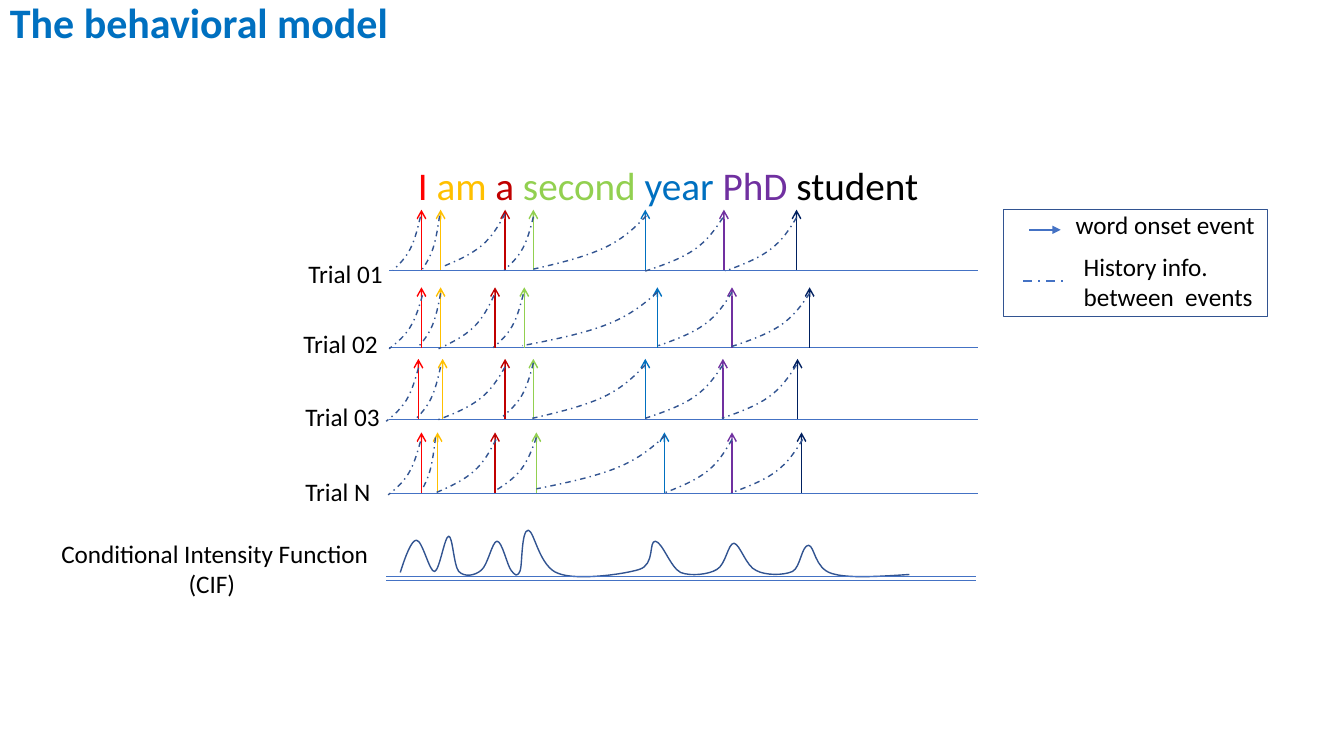
from lxml.etree import SubElement
from pptx import Presentation
from pptx.dml.color import RGBColor
from pptx.enum.dml import MSO_LINE
from pptx.enum.shapes import MSO_CONNECTOR, MSO_SHAPE
from pptx.enum.text import MSO_AUTO_SIZE, PP_ALIGN
from pptx.oxml.ns import qn
from pptx.util import Inches, Pt

COLORS = {
    "red": "FF0000", "amber": "FFC000", "crimson": "C00000", "green": "92D050",
    "blue": "0070C0", "purple": "7030A0", "navy": "002060", "black": "000000",
    "axis": "4472C4", "curve": "325491",
}
FONT = "Calibri"
EVENT_COLORS = ["red", "amber", "crimson", "green", "blue", "purple", "navy"]
SENTENCE = [("I ", "red"), ("am ", "amber"), ("a ", "crimson"), ("second ", "green"),
            ("year ", "blue"), ("PhD", "purple"), (" student ", "black")]

AXIS_LEFT, AXIS_WIDTH = 3.86, 5.84
EVENT_HEIGHT, HISTORY_HEIGHT = 0.6, 0.53

# Per trial: label, label position, top, event offsets,
# and history curves as (start, end, drop below the top)
TRIALS = [
    ("Trial 01", (2.96, 2.51), 2.08, [0.32, 0.51, 1.15, 1.43, 2.54, 3.32, 4.04],
     [(0.04, 0.31, 0.07), (0.33, 0.5, 0.06), (0.52, 1.15, 0.04), (1.14, 1.43, 0.07),
      (1.43, 2.55, 0.06), (2.54, 3.31, 0.08), (3.33, 4.04, 0.08)]),
    ("Trial 02", (2.91, 3.21), 2.85, [0.32, 0.51, 1.05, 1.34, 2.66, 3.4, 4.17],
     [(0, 0.33, 0.08), (0.29, 0.51, 0.06), (0.49, 1.04, 0.08), (1.03, 1.33, 0.07),
      (1.32, 2.66, 0.05), (2.67, 3.4, 0.05), (3.39, 4.17, 0.06)]),
    ("Trial 03", (2.93, 3.93), 3.56, [0.29, 0.53, 1.15, 1.43, 2.54, 3.31, 4.05],
     [(-0.03, 0.29, 0.09), (0.25, 0.51, 0.08), (0.47, 1.15, 0.08), (1.13, 1.43, 0.04),
      (1.42, 2.54, 0.06), (2.54, 3.31, 0.06), (3.3, 4.04, 0.06)]),
    ("Trial N", (2.93, 4.68), 4.29, [0.32, 0.48, 1.05, 1.46, 2.73, 3.4, 4.09],
     [(-0.01, 0.31, 0.09), (0.32, 0.46, 0.05), (0.46, 1.06, 0.07), (1.05, 1.46, 0.05),
      (1.46, 2.74, 0.03), (2.73, 3.4, 0.07), (3.39, 4.1, 0.07)]),
]

# Fractions of a history curve's width (leftwards) and height (downwards)
HISTORY_SHAPE = [(0, 0), (0.1, 0.22), (0.2, 0.43), (0.37, 0.6),
                 (0.54, 0.77), (0.77, 0.89), (1, 1)]

# Intensity curve: start, then two control points and an end per segment,
# measured from the left end and the top of its region
INTENSITY = [
    (0.14, 0.42), (0.19, 0.26), (0.25, 0.1), (0.3, 0.1), (0.36, 0.1), (0.43, 0.42),
    (0.48, 0.41), (0.53, 0.4), (0.58, 0.06), (0.62, 0.06), (0.66, 0.06), (0.67, 0.35),
    (0.72, 0.41), (0.78, 0.47), (0.88, 0.45), (0.94, 0.4), (1.01, 0.35), (1.05, 0.11),
    (1.1, 0.11), (1.15, 0.11), (1.2, 0.35), (1.24, 0.4), (1.28, 0.45), (1.3, 0.47),
    (1.33, 0.4), (1.35, 0.34), (1.34, 0), (1.41, 0), (1.47, 0.01), (1.52, 0.37),
    (1.71, 0.43), (1.89, 0.5), (2.35, 0.44), (2.51, 0.39), (2.67, 0.34), (2.6, 0.11),
    (2.67, 0.11), (2.74, 0.12), (2.82, 0.37), (2.92, 0.42), (3.02, 0.46), (3.2, 0.44),
    (3.28, 0.39), (3.37, 0.34), (3.39, 0.13), (3.45, 0.13), (3.51, 0.14), (3.57, 0.36),
    (3.67, 0.4), (3.76, 0.45), (3.94, 0.45), (4.03, 0.41), (4.11, 0.37), (4.12, 0.15),
    (4.19, 0.15), (4.25, 0.16), (4.25, 0.38), (4.42, 0.43), (4.58, 0.48), (4.88, 0.46),
    (5.19, 0.44),
]


def rgb(name):
    return RGBColor.from_string(COLORS[name])


def add_text(slide, box, text, size=18, color="black", bold=False,
             align=PP_ALIGN.LEFT, wrap=True, line_spacing=None):
    """Text is one string, or a list of paragraphs made of (text, color) runs."""
    textbox = slide.shapes.add_textbox(*map(Inches, box))
    frame = textbox.text_frame
    frame.word_wrap = wrap
    frame.auto_size = MSO_AUTO_SIZE.SHAPE_TO_FIT_TEXT
    paragraphs = [[(text, color)]] if isinstance(text, str) else text
    for index, runs in enumerate(paragraphs):
        paragraph = frame.add_paragraph() if index else frame.paragraphs[0]
        paragraph.alignment = align
        if line_spacing:
            paragraph.line_spacing = line_spacing
        for run_text, run_color in runs:
            run = paragraph.add_run()
            run.text = run_text
            run.font.name = FONT
            run.font.size = Pt(size)
            run.font.bold = bold
            run.font.color.rgb = rgb(run_color)


def add_line(slide, start, end, color="axis", width=0.5, dash=None, head=None, tail=None):
    line = slide.shapes.add_connector(MSO_CONNECTOR.STRAIGHT, *map(Inches, start + end))
    line.line.color.rgb = rgb(color)
    line.line.width = Pt(width)
    if dash:
        line.line.dash_style = dash
    outline = line.line._get_or_add_ln()
    for tag, kind in (("a:headEnd", head), ("a:tailEnd", tail)):
        if kind:
            SubElement(outline, qn(tag), type=kind)
    SubElement(line._element.spPr, qn("a:effectLst"))


def add_curve(slide, points, dash=None):
    """Draw cubic segments: a start, then two control points and an end for each."""
    points = [(Inches(x), Inches(y)) for x, y in points]
    builder = slide.shapes.build_freeform(*points[0])
    builder.add_line_segments(points[1:], close=False)
    curve = builder.convert_to_shape()
    curve.shadow.inherit = False
    curve.fill.background()
    curve.line.color.rgb = rgb("curve")
    curve.line.width = Pt(1)
    if dash:
        curve.line.dash_style = dash
    # Turn each group of three straight pieces into one Bezier piece
    outline = next(curve._element.iter(qn("a:path")))
    pieces = outline.findall(qn("a:lnTo"))
    for index in range(0, len(pieces), 3):
        bezier = SubElement(outline, qn("a:cubicBezTo"))
        for piece in pieces[index:index + 3]:
            bezier.append(piece[0])
            outline.remove(piece)


def add_trial(slide, left, top, width, label, label_position, events, histories):
    baseline = top + EVENT_HEIGHT
    add_text(slide, (*label_position, 1.01, 0.4), label)
    add_line(slide, (left, baseline), (left + width, baseline))
    for offset, color in zip(events, EVENT_COLORS):
        x = left + offset
        add_line(slide, (x, top), (x, baseline), color, width=1, head="arrow")
    for start, end, drop in histories:
        add_curve(slide, [(left + end - (end - start) * across,
                           top + drop + HISTORY_HEIGHT * down)
                          for across, down in HISTORY_SHAPE], MSO_LINE.DASH_DOT)


def add_intensity(slide, left, top, width):
    add_text(slide, (left - 3.43, top + 0.03, 3.46, 0.71),
             "Conditional Intensity Function (CIF) ", align=PP_ALIGN.CENTER)
    add_curve(slide, [(left + x, top + y) for x, y in INTENSITY])
    for drop in (0.46, 0.5):
        add_line(slide, (left, top + drop), (left + width, top + drop))


def add_legend(slide, left, top, width, height):
    frame = slide.shapes.add_shape(MSO_SHAPE.RECTANGLE,
                                   *map(Inches, (left, top, width, height)))
    frame.shadow.inherit = False
    frame.fill.background()
    frame.line.color.rgb = rgb("curve")
    frame.line.width = Pt(1)
    add_line(slide, (left + 0.26, top + 0.2), (left + 0.57, top + 0.2),
             width=1.5, tail="triangle")
    add_text(slide, (left + 0.62, top - 0.05, 2, 0.4), "word onset event", wrap=False)
    add_line(slide, (left + 0.2, top + 0.71), (left + 0.63, top + 0.71),
             width=1.5, dash=MSO_LINE.DASH_DOT)
    add_text(slide, (left + 0.7, top + 0.36, 1.9, 0.71),
             [[("History info.", "black")], [("between  events", "black")]], wrap=False)


def main():
    presentation = Presentation()
    presentation.slide_width = Inches(13.33)
    presentation.slide_height = Inches(7.5)
    slide = presentation.slides.add_slide(presentation.slide_layouts[6])

    # Title and coloured sentence
    add_text(slide, (0, -0.08, 11.83, 0.61), "The behavioral model",
             size=30, color="blue", bold=True)
    add_text(slide, (0.92, 1.6, 11.5, 0.61), [SENTENCE], size=28,
             align=PP_ALIGN.CENTER, line_spacing=0.9)

    # Event trains, intensity curve and legend
    for label, label_position, top, events, histories in TRIALS:
        add_trial(slide, AXIS_LEFT, top, AXIS_WIDTH, label, label_position,
                  events, histories)
    add_intensity(slide, 3.83, 5.26, 5.85)
    add_legend(slide, 9.95, 2.08, 2.62, 1.06)

    presentation.save("out.pptx")


if __name__ == "__main__":
    main()
